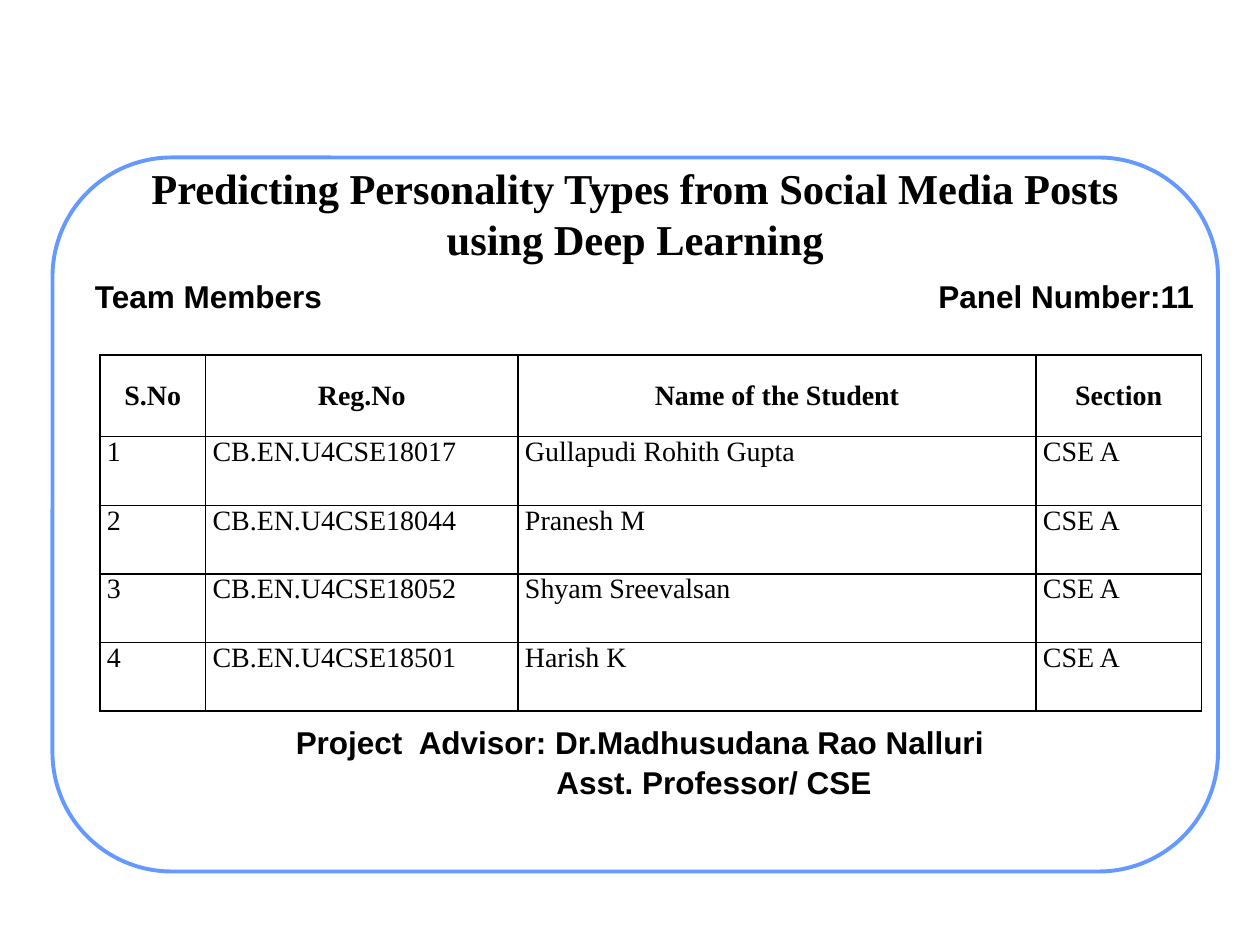
from dataclasses import dataclass

from lxml import etree
from pptx import Presentation
from pptx.dml.color import RGBColor
from pptx.enum.shapes import MSO_SHAPE
from pptx.enum.text import MSO_ANCHOR, MSO_AUTO_SIZE, PP_ALIGN
from pptx.oxml.ns import qn
from pptx.util import Pt

LEFT, CENTER, RIGHT = PP_ALIGN.LEFT, PP_ALIGN.CENTER, PP_ALIGN.RIGHT
TOP, MIDDLE = MSO_ANCHOR.TOP, MSO_ANCHOR.MIDDLE
SERIF, SANS = "Times New Roman", "Arial"
BLACK, WHITE, FRAME_BLUE = "000000", "FFFFFF", "6699FF"
TITLE_ONLY = 5

COLUMN_WIDTHS = (60.5, 178.5, 296, 94.5)
HEADER_HEIGHT, ROW_HEIGHT = 46.6, 39.2
HEADINGS = ("S.No", "Reg.No", "Name of the Student", "Section")
SECTION = "CSE A"


@dataclass(frozen=True)
class Student:
    register: str
    name: str


@dataclass(frozen=True)
class Line:
    text: str
    align: PP_ALIGN = LEFT
    indent: float = 0


@dataclass(frozen=True)
class Label:
    left: float
    top: float
    width: float
    height: float
    lines: tuple[Line, ...]


STUDENTS = (
    Student("CB.EN.U4CSE18017", "Gullapudi Rohith Gupta"),
    Student("CB.EN.U4CSE18044", "Pranesh M"),
    Student("CB.EN.U4CSE18052", "Shyam Sreevalsan"),
    Student("CB.EN.U4CSE18501", "Harish K"),
)
LABELS = (
    Label(54.3, 158.5, 200, 22, (Line("Team Members"),)),
    Label(482.3, 158.5, 200, 22, (Line("Panel Number:11", RIGHT),)),
    Label(169, 413.3, 420, 44, (
        Line("Project  Advisor: Dr.Madhusudana Rao Nalluri"),
        Line("Asst. Professor/ CSE", indent=149),
    )),
)


def color(value: str) -> RGBColor:
    return RGBColor.from_string(value)


def style(paragraph, face: str, size: float, bold: bool, align: PP_ALIGN) -> None:
    paragraph.alignment = align
    font = paragraph.font
    font.name, font.size, font.bold = face, Pt(size), bold
    font.color.rgb = color(BLACK)


def set_margins(frame, margin: float) -> None:
    frame.margin_left = frame.margin_right = Pt(margin)
    frame.margin_top = frame.margin_bottom = Pt(margin)


def add_title(page, text: str) -> None:
    title = page.shapes.title
    title.left, title.top, title.width, title.height = Pt(60), Pt(93.6), Pt(606), Pt(56)
    frame = title.text_frame
    frame.text = text
    frame.word_wrap = True
    frame.auto_size = MSO_AUTO_SIZE.NONE
    frame.vertical_anchor = MIDDLE
    set_margins(frame, 3.6)
    style(frame.paragraphs[0], SERIF, 24.3, True, CENTER)


def add_border(page) -> None:
    """Draw the rounded frame behind the title."""
    border = page.shapes.add_shape(
        MSO_SHAPE.ROUNDED_RECTANGLE, Pt(30), Pt(90), Pt(666), Pt(408))
    border.adjustments[0] = 0.167
    border.shadow.inherit = False
    border.fill.solid()
    border.fill.fore_color.rgb = color(WHITE)
    border.line.color.rgb = color(FRAME_BLUE)
    border.line.width = Pt(2.25)
    page.shapes.title.element.addprevious(border.element)


def add_label(page, label: Label) -> None:
    box = page.shapes.add_textbox(
        Pt(label.left), Pt(label.top), Pt(label.width), Pt(label.height))
    frame = box.text_frame
    frame.word_wrap = True
    set_margins(frame, 0)
    for index, line in enumerate(label.lines):
        para = frame.add_paragraph() if index else frame.paragraphs[0]
        para.text = line.text
        if index:
            para.space_before = Pt(1)
        if line.indent:
            para._p.get_or_add_pPr().set("marL", str(Pt(line.indent)))
        style(para, SANS, 18, True, line.align)


def add_cell_borders(cell) -> None:
    properties = cell._tc.get_or_add_tcPr()
    for position, side in enumerate(("lnL", "lnR", "lnT", "lnB")):
        line = etree.Element(qn(f"a:{side}"), w=str(Pt(1)))
        fill = etree.SubElement(line, qn("a:solidFill"))
        etree.SubElement(fill, qn("a:srgbClr"), val=BLACK)
        properties.insert(position, line)


def fill_cell(cell, text: str, heading: bool) -> None:
    cell.text = text
    set_margins(cell, 0)
    if not heading:
        cell.margin_left = Pt(4)
    cell.vertical_anchor = MIDDLE if heading else TOP
    cell.fill.background()
    style(cell.text_frame.paragraphs[0], SERIF, 16, heading, CENTER if heading else LEFT)
    add_cell_borders(cell)


def add_student_table(page) -> None:
    rows = [HEADINGS] + [
        (str(number), student.register, student.name, SECTION)
        for number, student in enumerate(STUDENTS, 1)]
    heights = [HEADER_HEIGHT] + [ROW_HEIGHT] * len(STUDENTS)
    table = page.shapes.add_table(
        len(rows), len(HEADINGS), Pt(57), Pt(203),
        Pt(sum(COLUMN_WIDTHS)), Pt(sum(heights))).table
    table.first_row = table.horz_banding = False
    for column, width in zip(table.columns, COLUMN_WIDTHS):
        column.width = Pt(width)
    for index, (row, height, texts) in enumerate(zip(table.rows, heights, rows)):
        row.height = Pt(height)
        for cell, text in zip(row.cells, texts):
            fill_cell(cell, text, heading=index == 0)


def main() -> None:
    deck = Presentation()
    deck.slide_width, deck.slide_height = Pt(720), Pt(540)
    page = deck.slides.add_slide(deck.slide_layouts[TITLE_ONLY])
    add_title(page, "Predicting Personality Types from Social Media Posts using Deep Learning")
    add_border(page)
    for label in LABELS:
        add_label(page, label)
    add_student_table(page)
    deck.save("out.pptx")


if __name__ == "__main__":
    main()
